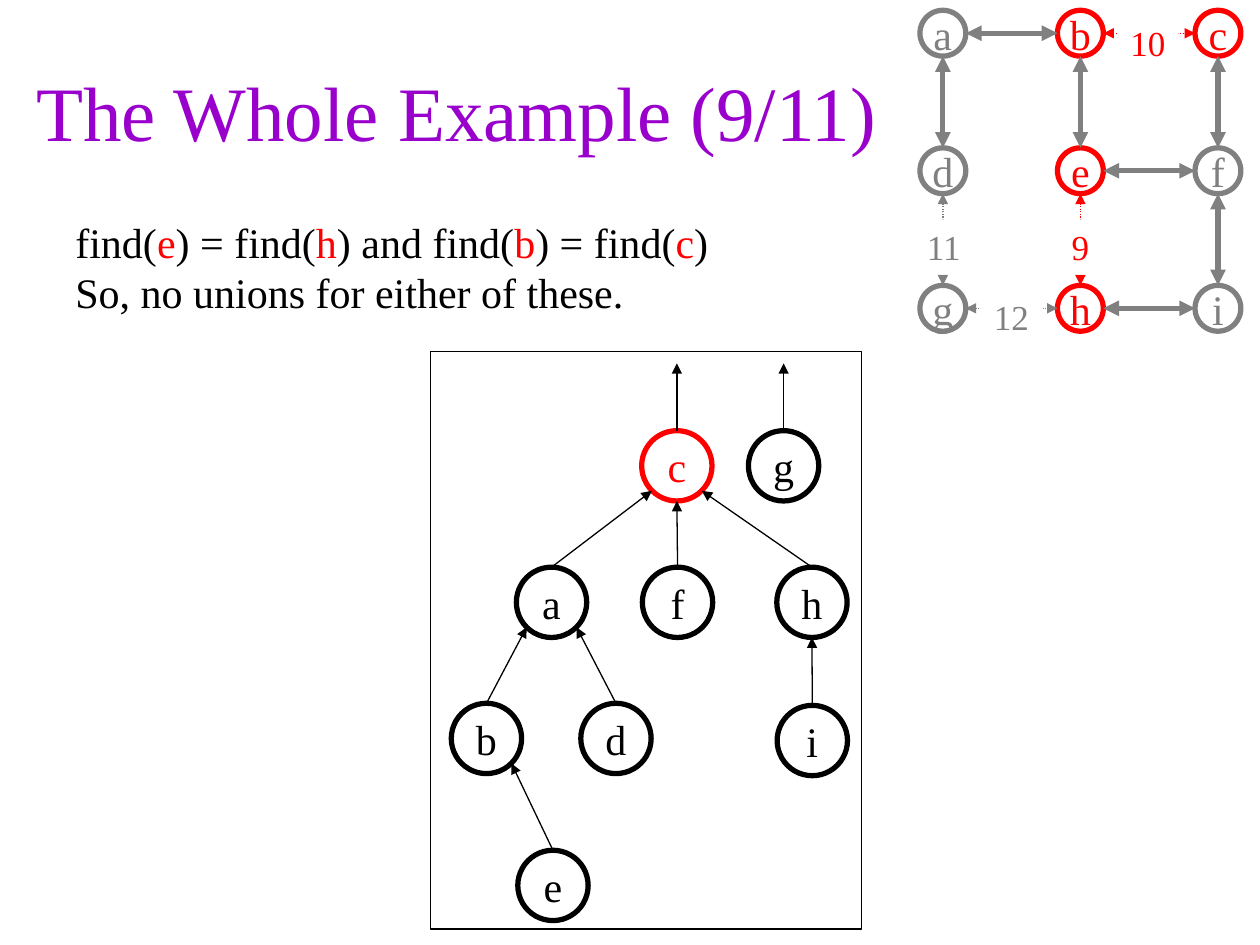
import pptx
import pptx.util
import pptx.dml.color
import pptx.enum.dml
import pptx.enum.shapes
import pptx.enum.text
import pptx.oxml
import pptx.oxml.ns

Pt = pptx.util.Pt
RGB = pptx.dml.color.RGBColor
SHAPE = pptx.enum.shapes.MSO_SHAPE
ANCHOR = pptx.enum.text.MSO_ANCHOR
ALIGN = pptx.enum.text.PP_ALIGN
DOTS = pptx.enum.dml.MSO_LINE.ROUND_DOT

BLACK = RGB(0, 0, 0)
WHITE = RGB(255, 255, 255)
RED = RGB(255, 0, 0)
GRAY = RGB(128, 128, 128)
PURPLE = RGB(153, 0, 204)


class Pen:
    """Holds the text style and the slide being drawn."""
    font = "Times New Roman"

    def __init__(self, slide):
        self.slide = slide

    def style(self, run, size, color):
        run.font.name = self.font
        run.font.size = Pt(size)
        run.font.color.rgb = color

    def title(self, text, x, y, w, h):
        shape = self.slide.shapes.title
        shape.left, shape.top, shape.width, shape.height = map(Pt, (x, y, w, h))
        shape.text_frame.auto_size = pptx.enum.text.MSO_AUTO_SIZE.NONE
        self.letter(shape, text, 44, PURPLE, ANCHOR.MIDDLE, True)

    def note(self, lines, x, y, w, h):
        """Text whose parts between asterisks are red."""
        frame = self.slide.shapes.add_textbox(*map(Pt, (x, y, w, h))).text_frame
        frame.word_wrap = False
        for n, line in enumerate(lines):
            para = frame.add_paragraph() if n else frame.paragraphs[0]
            for k, part in enumerate(line.split("*")):
                run = para.add_run()
                run.text = part
                self.style(run, 24, RED if k % 2 else BLACK)

    def shape(self, kind, x, y, w, h, fill=None, line=None, width=0.75):
        shape = self.slide.shapes.add_shape(kind, *map(Pt, (x, y, w, h)))
        shape.shadow.inherit = False
        if fill is None:
            shape.fill.background()
        else:
            shape.fill.solid()
            shape.fill.fore_color.rgb = fill
        if line is None:
            shape.line.fill.background()
        else:
            shape.line.color.rgb = line
            shape.line.width = Pt(width)
        return shape

    def letter(self, shape, text, size, color, anchor, wrap=False):
        """Centred one-line text in a shape."""
        frame = shape.text_frame
        frame.text = text
        frame.word_wrap = wrap
        frame.vertical_anchor = anchor
        para = frame.paragraphs[0]
        para.alignment = ALIGN.CENTER
        self.style(para.runs[0], size, color)

    def node(self, name, x, y, r, color):
        """A ringed letter centred on x, y."""
        ring = self.shape(SHAPE.OVAL, x - r, y - r, 2 * r, 2 * r,
                          line=color, width=3)
        self.letter(ring, name, 24, color, ANCHOR.MIDDLE)

    def label(self, text, x, y, w, color):
        """A white tag, centred on x, that covers part of an edge."""
        tag = self.shape(SHAPE.RECTANGLE, x - w / 2, y, w, 31.5, fill=WHITE)
        self.letter(tag, text, 20, color, ANCHOR.TOP)

    def arrow(self, start, end, color=BLACK, width=0.75, both=False, dash=None):
        line = self.slide.shapes.add_connector(
            pptx.enum.shapes.MSO_CONNECTOR.STRAIGHT, *map(Pt, start + end))
        line.line.color.rgb = color
        line.line.width = Pt(width)
        if dash is not None:
            line.line.dash_style = dash
        names = pptx.oxml.ns.nsdecls("a")
        props = line._element.spPr
        stroke = props.find(pptx.oxml.ns.qn("a:ln"))
        for tag in ("a:headEnd", "a:tailEnd") if both else ("a:tailEnd",):
            stroke.append(pptx.oxml.parse_xml(f'<{tag} {names} type="triangle"/>'))
        props.append(pptx.oxml.parse_xml(f"<a:effectLst {names}/>"))


def graph(pen):
    """The three by three weighted graph at top right."""
    r, step, left, top = 13.1, 78.6, 538.8, 19
    spot = {name: (left + n % 3 * step, top + n // 3 * step)
            for n, name in enumerate("abcdefghi")}
    hot = "bceh"
    dotted = ("bc", "eh", "dg", "gh")

    for name, (x, y) in spot.items():
        pen.node(name, x, y, r, RED if name in hot else GRAY)

    for pair in ("ab", "ad", "dg", "bc", "be", "ef", "eh",
                 "cf", "fi", "gh", "hi"):
        (x1, y1), (x2, y2) = spot[pair[0]], spot[pair[1]]
        dx, dy = (r, 0) if y1 == y2 else (0, r)
        thin = pair in dotted
        pen.arrow((x1 + dx, y1 + dy), (x2 - dx, y2 - dy),
                  RED if pair in ("bc", "eh") else GRAY,
                  0.75 if thin else 3, True, DOTS if thin else None)

    # Edge weights
    pen.label("11", 539.3, 125.3, 35, GRAY)
    pen.label("10", 656, 8.6, 35, RED)
    pen.label("9", 617.4, 125.3, 42, RED)
    pen.label("12", 578, 165.5, 35, GRAY)


def tree(pen):
    """The framed forest of sets, each child pointing to its parent."""
    r = 20.1
    slant = r * 0.71
    spot = {"c": (386.8, 266.2), "g": (447.8, 266.2),
            "a": (315.2, 344.2), "f": (387.2, 344.2), "h": (464, 344.2),
            "b": (278, 422), "d": (352, 422), "i": (464.2, 423.2),
            "e": (316, 506)}
    above = {"a": "c", "f": "c", "h": "c", "b": "a", "d": "a",
             "i": "h", "e": "b"}

    pen.shape(SHAPE.RECTANGLE, 246.2, 200.9, 246, 330, WHITE, BLACK)
    for name, (x, y) in spot.items():
        pen.node(name, x, y, r, RED if name == "c" else BLACK)
        if name not in above:
            end = (x, y - r - 38.5)
        else:
            px, py = spot[above[name]]
            if abs(x - px) < 1:
                end = (px, py + r)
            else:
                end = (px + (slant if x > px else -slant), py + slant)
        pen.arrow((x, y - r), end)


def main():
    deck = pptx.Presentation()
    deck.slide_width, deck.slide_height = Pt(720), Pt(540)
    pen = Pen(deck.slides.add_slide(deck.slide_layouts[5]))

    pen.title("The Whole Example (9/11)", 6, 18, 510, 90)
    pen.note(["find(*e*) = find(*h*) and find(*b*) = find(*c*)",
              "So, no unions for either of these."], 36, 120, 376.5, 65)
    graph(pen)
    tree(pen)
    deck.save("out.pptx")


if __name__ == "__main__":
    main()
